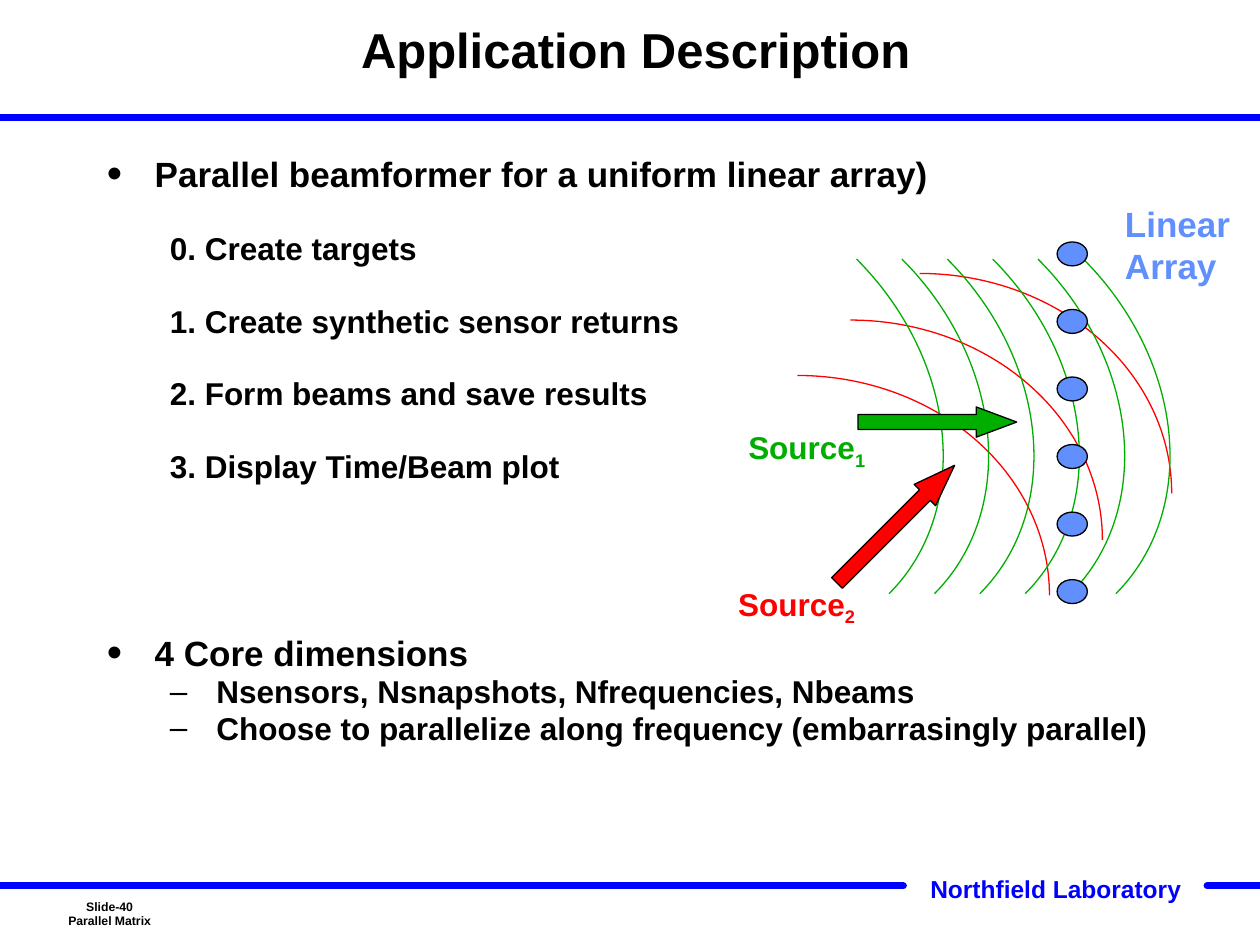
from dataclasses import dataclass

from lxml.etree import SubElement
from pptx import Presentation
from pptx.dml.color import RGBColor
from pptx.enum.shapes import MSO_CONNECTOR as Connector, MSO_SHAPE as Preset
from pptx.enum.text import MSO_ANCHOR as Anchor, PP_ALIGN as Align
from pptx.oxml.ns import qn
from pptx.util import Inches, Pt


@dataclass(frozen=True)
class Theme:
    font: str = "Arial"
    black: str = "000000"
    rule: str = "0000FF"
    array: str = "618FFD"
    source_1: str = "00AE00"
    source_2: str = "FF0000"
    title_size: float = 28
    heading_size: float = 20
    body_size: float = 18
    brand_size: float = 14
    footer_size: float = 7
    thin: float = 0.75
    thick: float = 4


def rgb(color):
    return RGBColor.from_string(color)


class SlideBuilder:
    def __init__(self, slide, theme):
        self.slide = slide
        self.theme = theme

    def add_run(self, paragraph, text, size, color, subscript=False):
        run = paragraph.add_run()
        run.text = text
        font = run.font
        font.name, font.size, font.bold = self.theme.font, Pt(size), True
        font.color.rgb = rgb(color)
        if subscript:
            run._r.get_or_add_rPr().set("baseline", "-25000")

    def title(self, text, left, top, width, height):
        shape = self.slide.shapes.title
        shape.left, shape.top = Inches(left), Inches(top)
        shape.width, shape.height = Inches(width), Inches(height)
        shape.text_frame.vertical_anchor = Anchor.MIDDLE
        paragraph = shape.text_frame.paragraphs[0]
        paragraph.alignment = Align.CENTER
        paragraph.line_spacing = Pt(30)
        self.add_run(paragraph, text, self.theme.title_size, self.theme.black)

    def text_box(self, left, top, width, height, wrap=False):
        box = self.slide.shapes.add_textbox(
            Inches(left), Inches(top), Inches(width), Inches(height))
        box.text_frame.word_wrap = wrap
        return box.text_frame

    def label(self, lines, bounds, size, color, align=Align.LEFT, anchor=Anchor.TOP):
        """Each line is a pair: its text and its subscript, which may be empty."""
        frame = self.text_box(*bounds)
        frame.vertical_anchor = anchor
        for index, (text, subscript) in enumerate(lines):
            paragraph = frame.add_paragraph() if index else frame.paragraphs[0]
            paragraph.alignment = align
            self.add_run(paragraph, text, size, color)
            if subscript:
                self.add_run(paragraph, subscript, size, color, subscript=True)

    def set_bullet(self, paragraph, character, margin, indent, percent):
        properties = paragraph._p.get_or_add_pPr()
        properties.set("marL", str(Inches(margin)))
        properties.set("indent", str(Inches(indent)))
        if not character:
            SubElement(properties, qn("a:buNone"))
            return
        color = SubElement(properties, qn("a:buClr"))
        SubElement(color, qn("a:srgbClr"), val=self.theme.black)
        SubElement(properties, qn("a:buSzPct"), val=str(percent * 1000))
        SubElement(properties, qn("a:buFont"), typeface=self.theme.font)
        SubElement(properties, qn("a:buChar"), char=character)

    def outline(self, rows, levels, bounds):
        """Each row is a level name, its text and the points of space before it."""
        frame = self.text_box(*bounds, wrap=True)
        for index, (level, text, space) in enumerate(rows):
            paragraph = frame.add_paragraph() if index else frame.paragraphs[0]
            character, margin, indent, percent, size = levels[level]
            self.set_bullet(paragraph, character, margin, indent, percent)
            paragraph.line_spacing = Pt(16)
            if index:
                paragraph.space_before = Pt(space)
            self.add_run(paragraph, text, size, self.theme.black)

    def rule(self, start, end, y):
        line = self.slide.shapes.add_connector(
            Connector.STRAIGHT, Inches(start), Inches(y), Inches(end), Inches(y))
        line.line.color.rgb = rgb(self.theme.rule)
        line.line.width = Pt(self.theme.thick)
        line.line._get_or_add_ln().set("cap", "rnd")
        SubElement(line._element.spPr, qn("a:effectLst"))

    def shape(self, preset, bounds, line, fill=None, rotation=0):
        shape = self.slide.shapes.add_shape(preset, *map(Inches, bounds))
        shape.shadow.inherit = False
        shape.rotation = rotation
        shape.line.color.rgb = rgb(line)
        shape.line.width = Pt(self.theme.thin)
        if fill:
            shape.fill.solid()
            shape.fill.fore_color.rgb = rgb(fill)
        else:
            shape.fill.background()
        return shape

    def arrow(self, bounds, fill, head, rotation=0):
        arrow = self.shape(Preset.RIGHT_ARROW, bounds, self.theme.black, fill, rotation)
        arrow.adjustments[0], arrow.adjustments[1] = 0.5, head


def draw_array(builder):
    theme = builder.theme
    for left, top in ((4.33, 2.98), (5.3, 2.17), (4.75, 2.54)):
        builder.shape(Preset.ARC, (left, top, 4, 3.49), theme.source_2)
    for wave in range(6):
        bounds = (3.54 + 0.36 * wave, 1.56, 4.12, 3.39)
        builder.shape(Preset.ARC, bounds, theme.source_1, rotation=45)
    for sensor in range(6):
        bounds = (8.39, 1.92 + 0.536 * sensor, 0.24, 0.19)
        builder.shape(Preset.OVAL, bounds, theme.black, theme.array)

    builder.arrow((6.45, 4.04, 1.32, 0.24), theme.source_2, 1.39, rotation=315)
    builder.arrow((6.81, 3.23, 1.26, 0.24), theme.source_1, 1.34)
    builder.label([("Source", "1")], (5.84, 3.35, 1.15, 0.44),
                  theme.body_size, theme.source_1)
    builder.label([("Source", "2")], (5.76, 4.59, 1.15, 0.44),
                  theme.body_size, theme.source_2)
    builder.label([("Linear", ""), ("Array", "")], (8.83, 1.56, 1.15, 0.77),
                  theme.heading_size, theme.array)


def main():
    presentation = Presentation()
    presentation.slide_width, presentation.slide_height = Inches(10), Inches(7.5)
    title_only = presentation.slide_layouts[5]
    theme = Theme()
    builder = SlideBuilder(presentation.slides.add_slide(title_only), theme)

    for start, end, y in ((0, 10, 0.93), (0, 7.17, 7.03), (9.58, 10, 7.03)):
        builder.rule(start, end, y)
    builder.label([("Northfield Laboratory", "")], (7.2, 6.89, 2.36, 0.33),
                  theme.brand_size, theme.rule, Align.CENTER)
    builder.label([("Slide-40", ""), ("Parallel Matrix", "")], (0.37, 7, 1, 0.5),
                  theme.footer_size, theme.black, Align.CENTER, Anchor.MIDDLE)

    builder.title("Application Description", 1.17, 0, 7.75, 0.83)
    levels = {  # bullet, margin, indent, bullet percent, type size
        "heading": ("•", 0.38, -0.38, 125, theme.heading_size),
        "step": (None, 0.87, -0.37, 100, theme.body_size),
        "detail": ("–", 0.87, -0.37, 100, theme.body_size),
    }
    rows = [
        ("heading", "Parallel beamformer for a uniform linear array)", 0),
        ("step", "0. Create targets", 25.5),
        ("step", "1. Create synthetic sensor returns", 25.5),
        ("step", "2. Form beams and save results", 25.5),
        ("step", "3. Display Time/Beam plot", 25.5),
        ("heading", "4 Core dimensions", 91.8),
        ("detail", "Nsensors, Nsnapshots, Nfrequencies, Nbeams", 5),
        ("detail", "Choose to parallelize along frequency (embarrasingly parallel)", 5),
    ]
    builder.outline(rows, levels, (0.75, 1.27, 9, 5.4))
    draw_array(builder)
    presentation.save("out.pptx")


if __name__ == "__main__":
    main()
